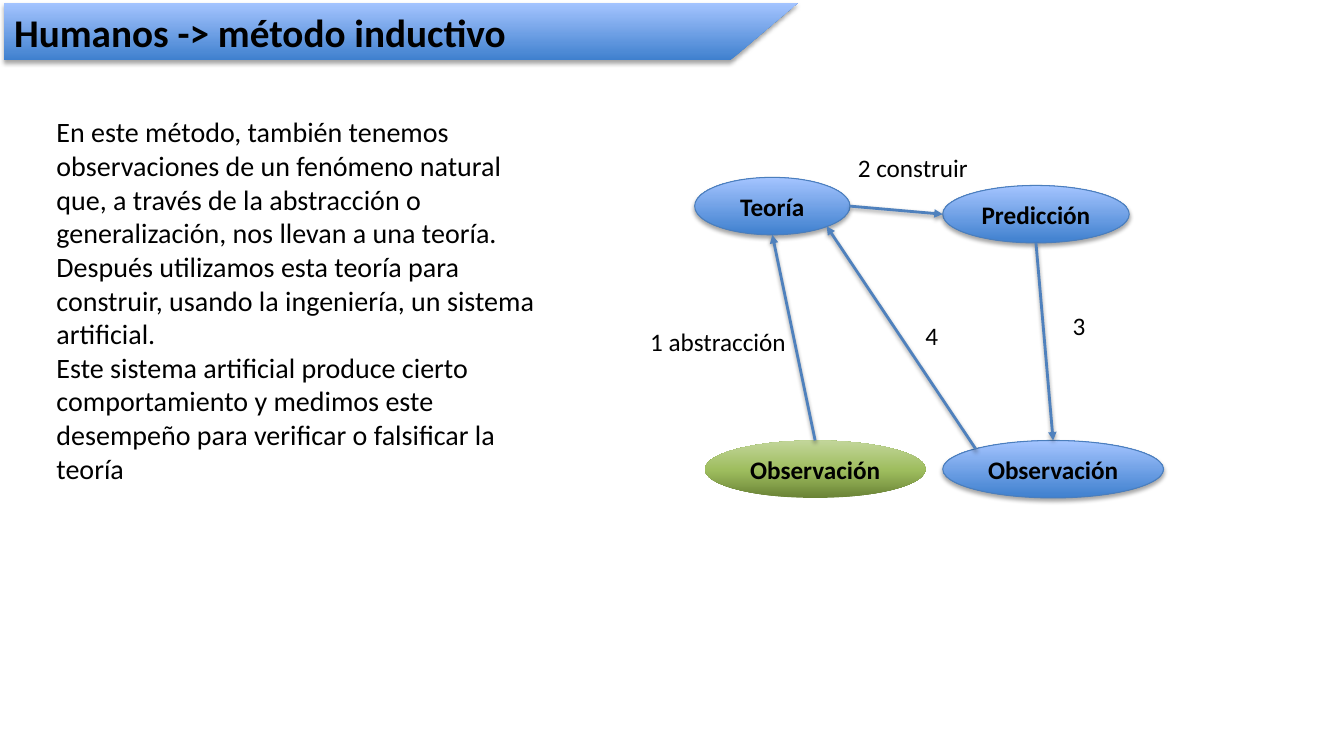
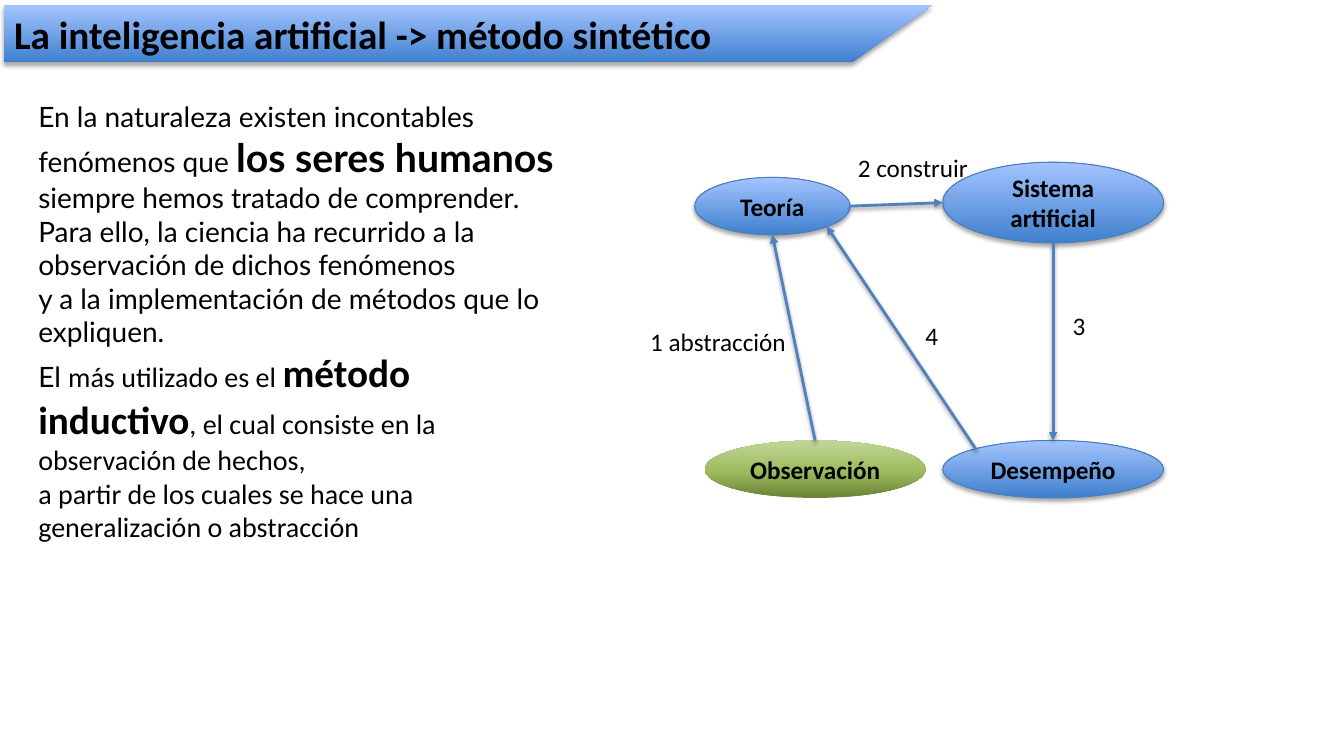
"""Build two slides comparing the inductive and the synthetic method."""
from copy import deepcopy

from lxml import etree
from pptx import Presentation
from pptx.dml.color import RGBColor
from pptx.enum.shapes import MSO_CONNECTOR, MSO_SHAPE
from pptx.enum.text import MSO_ANCHOR, MSO_AUTO_SIZE, PP_ALIGN
from pptx.oxml.ns import qn
from pptx.util import Inches, Pt

LEFT, CENTER = PP_ALIGN.LEFT, PP_ALIGN.CENTER
TOP, MIDDLE = MSO_ANCHOR.TOP, MSO_ANCHOR.MIDDLE
NO_FIT = MSO_AUTO_SIZE.NONE
OVAL, STRAIGHT = MSO_SHAPE.OVAL, MSO_CONNECTOR.STRAIGHT

COLORS = {"text": "000000", "outline": "4B7EBC", "arrow": "4F81BD", "shadow": "000000"}
BLUE = [(0, "3F80CE"), (1, "A4C4FF")]
GREEN = [(0, "6A8336"), (0.48, "9EBD5E"), (1, "C3D69B")]
FONT = "Calibri"

SITES = {
    "top": (0, 0.5, 0), "top left": (1, 0.15, 0.15), "left": (2, 0, 0.5),
    "bottom": (4, 0.5, 1), "bottom right": (5, 0.85, 0.85), "right": (6, 1, 0.5),
}
ARROWS = [
    ("observation", "top", "theory", "bottom"),
    ("theory", "right", "product", "left"),
    ("product", "bottom", "result", "top"),
    ("result", "top left", "theory", "bottom right"),
]
LABELS = [
    ("1 abstracción", 6.35, 3.19, 1.56),
    ("2 construir", 8.41, 1.46, 1.3),
    ("3", 10.54, 3.03, 0.33),
    ("4", 9.08, 3.13, 0.33),
]
SHARED_NODES = {
    "theory": ("Teoría", 6.89, 1.76, 1.54, 0.57, BLUE),
    "observation": ("Observación", 6.99, 4.37, 2.19, 0.57, GREEN),
}

SLIDES = [
    {
        "title": "Humanos -> método inductivo",
        "band": (0.03, 7.87, 0.67),
        "body_at": (0.46, 1.09, 5, 4.21),
        "body": [
            [("En este método, también tenemos observaciones de un fenómeno natural que, "
              "a través de la abstracción o generalización, nos llevan a una teoría.", FONT, 20)],
            [("Después utilizamos esta teoría para construir, usando la ingeniería, "
              "un sistema artificial.", FONT, 20)],
            [("Este sistema artificial produce cierto comportamiento y medimos este "
              "desempeño para verificar o falsificar la teoría", FONT, 20)],
        ],
        "nodes": {
            "product": ("Predicción", 9.35, 1.84, 1.85, 0.57, BLUE),
            "result": ("Observación", 9.35, 4.37, 2.19, 0.57, BLUE),
        },
    },
    {
        "title": "La inteligencia artificial -> método sintético",
        "band": (0.05, 9.2, 0.79),
        "body_at": (0.28, 0.94, 5.51, 4.88),
        "body": [
            [("En la naturaleza existen incontables fenómenos que ", "Lato", 20),
             ("los seres humanos", "Lato", 28)],
            [("siempre hemos tratado de comprender.", "Lato", 20)],
            [("Para ello, la ciencia ha recurrido a la observación de dichos fenómenos",
              "Lato", 20)],
            [("y a la implementación de métodos que lo expliquen.", "Lato", 20)],
            [("El ", "Lato", 20), ("más utilizado es el ", FONT, 20),
             ("método inductivo", FONT, 28),
             (", el cual consiste en la observación de hechos,", FONT, 20)],
            [("a partir de los cuales se hace una generalización o abstracción", FONT, 20)],
        ],
        "nodes": {
            "product": ("Sistema artificial", 9.35, 1.61, 2.19, 0.8, BLUE),
            "result": ("Desempeño", 9.35, 4.37, 2.19, 0.57, BLUE),
        },
    },
]


def format_run(r, size, bold=False, font=FONT):
    r.font.name, r.font.size, r.font.bold = font, Pt(size), bold
    r.font.color.rgb = RGBColor.from_string(COLORS["text"])


def paint(sp, stops=None, shadow=None):
    if stops:
        sp.fill.gradient()
        sp.fill.gradient_angle = 90
        gs_list = sp.element.spPr.find(".//" + qn("a:gsLst"))
        for _ in stops[2:]:
            gs_list.append(deepcopy(gs_list[-1]))
        for stop, (position, color) in zip(sp.fill.gradient_stops, stops):
            stop.position = position
            stop.color.rgb = RGBColor.from_string(color)
    for old in sp.element.spPr.findall(qn("a:effectLst")):
        sp.element.spPr.remove(old)
    effects = etree.SubElement(sp.element.spPr, qn("a:effectLst"))
    if shadow:
        alpha, distance = shadow
        outer = etree.SubElement(effects, qn("a:outerShdw"), blurRad=str(Pt(3.1)),
                                 dist=str(Pt(distance)), dir="5400000", rotWithShape="0")
        color = etree.SubElement(outer, qn("a:srgbClr"), val=COLORS["shadow"])
        etree.SubElement(color, qn("a:alpha"), val=str(alpha * 1000))


prs = Presentation()
prs.slide_width, prs.slide_height = Inches(13.33), Inches(7.5)

for data in SLIDES:
    s = prs.slides.add_slide(prs.slide_layouts[1])
    title, body = s.shapes.title, s.placeholders[1]

    top, width, slant = data["band"]
    right, bottom = 0.04 + width, top + 0.57
    builder = s.shapes.build_freeform(Inches(0.04), Inches(top))
    corners = [(right, top), (right - slant, bottom), (0.04, bottom)]
    builder.add_line_segments([(Inches(x), Inches(y)) for x, y in corners])
    band = builder.convert_to_shape()
    band.line.fill.background()
    paint(band, BLUE, (35, 1.8))
    s.shapes.element.insert(2, band.element)

    for sp, box in ((title, (0.04, top, width, 0.57)), (body, data["body_at"])):
        sp.left, sp.top, sp.width, sp.height = [Inches(v) for v in box]
        sp.text_frame.auto_size = NO_FIT
        sp.text_frame.vertical_anchor = TOP
    title.text_frame.text = data["title"]
    p = title.text_frame.paragraphs[0]
    p.alignment = LEFT
    format_run(p.runs[0], 28, True)

    tf = body.text_frame
    for i, parts in enumerate(data["body"]):
        p = tf.add_paragraph() if i else tf.paragraphs[0]
        p.space_before = Pt(0)
        pPr = p._p.get_or_add_pPr()
        pPr.set("marL", "0")
        pPr.set("indent", "0")
        etree.SubElement(pPr, qn("a:buNone"))
        for text, font, size in parts:
            r = p.add_run()
            r.text = text
            format_run(r, size, size == 28, font)

    nodes = {}
    for name, (text, x, y, w, h, stops) in (SHARED_NODES | data["nodes"]).items():
        sp = s.shapes.add_shape(OVAL, Inches(x), Inches(y), Inches(w), Inches(h))
        if stops is BLUE:
            sp.line.color.rgb = RGBColor.from_string(COLORS["outline"])
            sp.line.width = Pt(0.75)
        else:
            sp.line.fill.background()
        paint(sp, stops, (35, 1.8) if stops is BLUE else None)
        tf = sp.text_frame
        tf.text = text
        tf.word_wrap, tf.vertical_anchor = True, MIDDLE
        tf.paragraphs[0].alignment = CENTER
        format_run(tf.paragraphs[0].runs[0], 18, True)
        nodes[name] = sp

    for start, start_site, end, end_site in ARROWS:
        ends = []
        for name, site in ((start, start_site), (end, end_site)):
            sp, (_, fx, fy) = nodes[name], SITES[site]
            ends += [int(sp.left + fx * sp.width), int(sp.top + fy * sp.height)]
        arrow = s.shapes.add_connector(STRAIGHT, *ends)
        glue = arrow.element.find(".//" + qn("p:cNvCxnSpPr"))
        for tag, name, site in (("a:stCxn", start, start_site), ("a:endCxn", end, end_site)):
            etree.SubElement(glue, qn(tag), id=str(nodes[name].shape_id),
                             idx=str(SITES[site][0]))
        arrow.line.color.rgb = RGBColor.from_string(COLORS["arrow"])
        arrow.line.width = Pt(2)
        etree.SubElement(arrow.element.spPr.find(qn("a:ln")), qn("a:tailEnd"), type="triangle")
        paint(arrow, shadow=(38, 1.6))

    for text, x, y, w in LABELS:
        tf = s.shapes.add_textbox(Inches(x), Inches(y), Inches(w), Inches(0.4)).text_frame
        tf.text = text
        tf.word_wrap = False
        format_run(tf.paragraphs[0].runs[0], 18)

prs.save("out.pptx")
